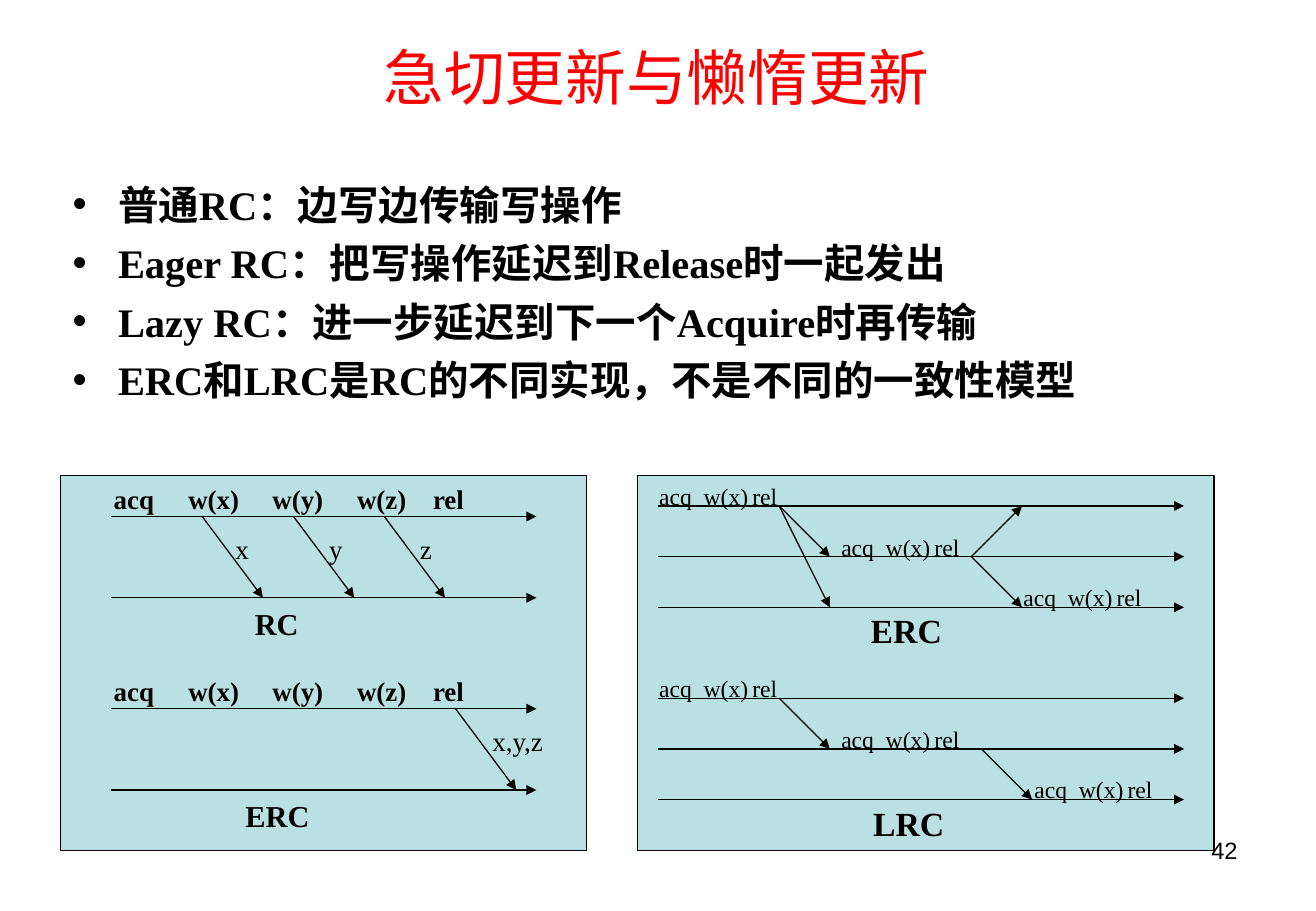
"""Builds the slide comparing eager and lazy release consistency updates."""
from dataclasses import dataclass

from lxml.etree import SubElement
from pptx import Presentation
from pptx.dml.color import RGBColor
from pptx.enum.shapes import MSO_CONNECTOR, MSO_SHAPE
from pptx.enum.text import MSO_ANCHOR, PP_ALIGN
from pptx.oxml.ns import qn
from pptx.util import Cm, Pt

TITLE = "急切更新与懒惰更新"
BULLETS = [
    "普通RC：边写边传输写操作",
    "Eager RC：把写操作延迟到Release时一起发出",
    "Lazy RC：进一步延迟到下一个Acquire时再传输",
    "ERC和LRC是RC的不同实现，不是不同的一致性模型",
]
PAGE_NUMBER = "42"
WRITES = ["acq", "w(x)", "w(y)", "w(z)", "rel"]
CRITICAL_SECTION = ["acq", "w(x)", "rel"]


@dataclass(frozen=True)
class Theme:
    title_font: str = "Arial"
    body_font: str = "Times New Roman"
    ink: RGBColor = RGBColor(0, 0, 0)
    title_color: RGBColor = RGBColor(0xFF, 0, 0)
    panel_fill: RGBColor = RGBColor(0xBB, 0xE0, 0xE3)
    title_size: int = 36
    bullet_size: int = 24
    page_size: int = 14
    line_width: float = 0.75


THEME = Theme()

SCENARIO_STEP = 4.02
PANELS = [
    {
        "box": (1.27, 9.95, 11, 7.83),
        "lanes": (2.33, 11.22), "first_lane": 10.8, "lane_gap": 1.7, "lane_count": 2,
        "event_rise": 0.84, "event_box": (8, 0.94), "event_size": 16, "event_bold": True,
        "tabs": (1.56, 3.32, 5.09, 6.68),
        "run": 1.27, "caption_shift": 0, "caption_size": 18,
        "scenarios": [
            {"caption": ("RC", 5.08, 1.42), "events": [(0, 2.13, WRITES)],
             "messages": [(4.23, 0, 1), (6.14, 0, 1), (8.04, 0, 1)],
             "labels": [("x", 4.67, 0.79), ("y", 6.63, 0.79), ("z", 8.53, 0.76)]},
            {"caption": ("ERC", 4.88, 1.85), "events": [(0, 2.13, WRITES)],
             "messages": [(9.53, 0, 1)],
             "labels": [("x,y,z", 10.03, 1.6)]},
        ],
    },
    {
        "box": (13.33, 9.95, 12.07, 7.83),
        "lanes": (13.76, 24.77), "first_lane": 10.58, "lane_gap": 1.06, "lane_count": 3,
        "event_rise": 0.64, "event_box": (3.4, 0.86), "event_size": 14, "event_bold": False,
        "tabs": (0.93, 1.95),
        "run": 1.06, "caption_shift": -0.05, "caption_size": 20,
        "scenarios": [
            {"caption": ("ERC", 17.96, 2),
             "events": [(lane, left, CRITICAL_SECTION)
                        for lane, left in enumerate((13.54, 17.35, 21.16))],
             "messages": [(16.3, 0, 1), (16.3, 0, 2), (20.32, 1, 2), (20.32, 1, 0)],
             "labels": []},
            {"caption": ("LRC", 18.01, 2),
             "events": [(lane, left, CRITICAL_SECTION)
                        for lane, left in enumerate((13.54, 17.35, 21.39))],
             "messages": [(16.3, 0, 1), (20.53, 1, 2)],
             "labels": []},
        ],
    },
]


def style(paragraph, size, font=THEME.body_font, bold=False, color=THEME.ink):
    paragraph.font.size = Pt(size)
    paragraph.font.name = font
    paragraph.font.bold = bold
    paragraph.font.color.rgb = color


def add_text(shapes, text, box, size, align=PP_ALIGN.CENTER, anchor=MSO_ANCHOR.MIDDLE,
             wrap=False, tabs=(), **font):
    frame = shapes.add_textbox(*map(Cm, box)).text_frame
    frame.word_wrap = wrap
    frame.vertical_anchor = anchor
    paragraph = frame.paragraphs[0]
    paragraph.text = text
    paragraph.alignment = align
    if tabs:
        tab_list = SubElement(paragraph._p.get_or_add_pPr(), qn("a:tabLst"))
        for position in tabs:
            SubElement(tab_list, qn("a:tab"), pos=str(Cm(position)), algn="l")
    style(paragraph, size, **font)


def add_bullets(shapes, items, box):
    frame = shapes.add_textbox(*map(Cm, box)).text_frame
    frame.word_wrap = True
    for index, item in enumerate(items):
        paragraph = frame.paragraphs[0] if index == 0 else frame.add_paragraph()
        paragraph.text = item
        paragraph.line_spacing = 1.1
        if index:
            paragraph.space_before = Pt(3)
        properties = paragraph._p.get_or_add_pPr()
        properties.set("marL", str(Cm(0.95)))
        properties.set("indent", str(Cm(-0.95)))
        bullet_color = SubElement(properties, qn("a:buClr"))
        SubElement(bullet_color, qn("a:srgbClr"), val=str(THEME.ink))
        SubElement(properties, qn("a:buFont"), typeface=THEME.title_font)
        SubElement(properties, qn("a:buChar"), char="•")
        style(paragraph, THEME.bullet_size, bold=True)


def add_arrow(shapes, start, end):
    connector = shapes.add_connector(MSO_CONNECTOR.STRAIGHT, *map(Cm, (*start, *end)))
    connector.line.color.rgb = THEME.ink
    connector.line.width = Pt(THEME.line_width)
    SubElement(connector.line._get_or_add_ln(), qn("a:tailEnd"), type="triangle")
    SubElement(connector._element.spPr, qn("a:effectLst"))


def add_scenario(shapes, panel, scenario, shift):
    lane_y = [panel["first_lane"] + shift + lane * panel["lane_gap"]
              for lane in range(panel["lane_count"])]
    left, right = panel["lanes"]
    for y in lane_y:
        add_arrow(shapes, (left, y), (right, y))
    for lane, x, words in scenario["events"]:
        add_text(shapes, "\t".join(words),
                 (x, lane_y[lane] - panel["event_rise"], *panel["event_box"]),
                 panel["event_size"], align=PP_ALIGN.LEFT, wrap=True,
                 tabs=panel["tabs"], bold=panel["event_bold"])
    for x, source, target in scenario["messages"]:
        add_arrow(shapes, (x, lane_y[source]), (x + panel["run"], lane_y[target]))
    for text, x, width in scenario["labels"]:
        add_text(shapes, text, (x, lane_y[0] + 0.21, width, 0.94), panel["event_size"])
    text, x, width = scenario["caption"]
    add_text(shapes, text, (x, lane_y[-1] + panel["caption_shift"], width, 1.06),
             panel["caption_size"], bold=True)


def add_panel(slide, panel):
    shapes = slide.shapes.add_group_shape().shapes
    background = shapes.add_shape(MSO_SHAPE.RECTANGLE, *map(Cm, panel["box"]))
    background.shadow.inherit = False
    background.fill.solid()
    background.fill.fore_color.rgb = THEME.panel_fill
    background.line.color.rgb = THEME.ink
    background.line.width = Pt(THEME.line_width)
    for index, scenario in enumerate(panel["scenarios"]):
        add_scenario(shapes, panel, scenario, index * SCENARIO_STEP)


def main():
    presentation = Presentation()
    presentation.slide_width = Cm(27.53)
    presentation.slide_height = Cm(19.05)
    slide = presentation.slides.add_slide(presentation.slide_layouts[6])
    add_text(slide.shapes, TITLE, (1.35, 0, 24.77, 3.18), THEME.title_size, wrap=True,
             font=THEME.title_font, color=THEME.title_color)
    add_bullets(slide.shapes, BULLETS, (1.27, 3.53, 23.32, 5.99))
    for panel in PANELS:
        add_panel(slide, panel)
    add_text(slide.shapes, PAGE_NUMBER, (19.71, 17.35, 6.43, 1.32), THEME.page_size,
             align=PP_ALIGN.RIGHT, anchor=MSO_ANCHOR.TOP, wrap=True, font=THEME.title_font)
    presentation.save("out.pptx")


if __name__ == "__main__":
    main()
